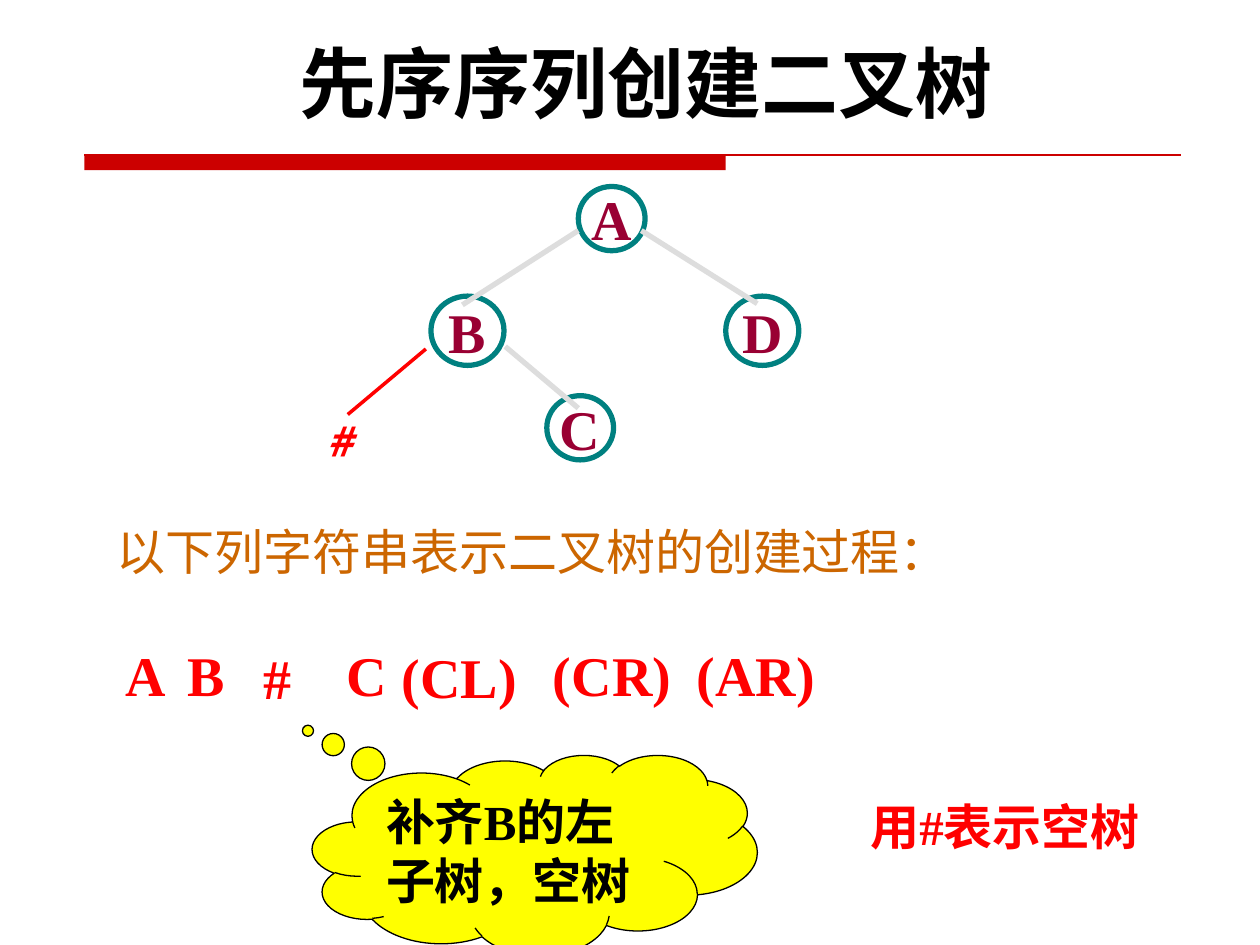
from dataclasses import dataclass

from lxml.etree import SubElement
from pptx import Presentation
from pptx.dml.color import RGBColor
from pptx.enum.shapes import MSO_CONNECTOR, MSO_SHAPE
from pptx.enum.text import MSO_ANCHOR, MSO_AUTO_SIZE, PP_ALIGN
from pptx.oxml.ns import qn
from pptx.util import Emu, Inches, Pt

BLACK = RGBColor(0x00, 0x00, 0x00)
WHITE = RGBColor(0xFF, 0xFF, 0xFF)
RED = RGBColor(0xFF, 0x00, 0x00)
RULE_RED = RGBColor(0xCC, 0x00, 0x00)
WINE = RGBColor(0x99, 0x00, 0x33)
TEAL = RGBColor(0x00, 0x80, 0x80)
GREY = RGBColor(0xDD, 0xDD, 0xDD)
ORANGE = RGBColor(0xCC, 0x66, 0x00)
YELLOW = RGBColor(0xFF, 0xFF, 0x00)

SERIF = "Times New Roman"
SANS = "Cabin"
HAN = "Noto Sans CJK SC"

COLUMNS, ROWS = 100, 75
SEQUENCE_ROW = 49.3
SMALL_NODE = (5.3, 5.1)
LARGE_NODE = (5.8, 5.5)

deck = Presentation()
deck.slide_width, deck.slide_height = Inches(10), Inches(7.5)
slide = deck.slides.add_slide(deck.slide_layouts[6])


@dataclass(frozen=True)
class Box:
    column: float
    row: float
    columns: float
    rows: float

    def place(self) -> tuple:
        return (across(self.column), down(self.row),
                across(self.columns), down(self.rows))


@dataclass(frozen=True)
class TreeNode:
    letter: str
    column: float
    row: float
    size: tuple


@dataclass(frozen=True)
class Edge:
    start: tuple
    end: tuple
    color: RGBColor = GREY
    weight: float = 3


@dataclass(frozen=True)
class Token:
    text: str
    column: float
    columns: float
    row: float = SEQUENCE_ROW


def across(columns: float) -> Emu:
    return Emu(round(deck.slide_width * columns / COLUMNS))


def down(rows: float) -> Emu:
    return Emu(round(deck.slide_height * rows / ROWS))


def write(holder, text: str, *, size: float, color: RGBColor, font: str = SERIF,
          bold: bool = True, align=PP_ALIGN.LEFT, anchor=MSO_ANCHOR.TOP,
          spacing: float = 1.0, wrap: bool = True, grow: bool = True) -> None:
    frame = holder.text_frame
    frame.word_wrap = wrap
    frame.vertical_anchor = anchor
    frame.auto_size = MSO_AUTO_SIZE.SHAPE_TO_FIT_TEXT if grow else MSO_AUTO_SIZE.NONE
    paragraph = frame.paragraphs[0]
    paragraph.alignment = align
    paragraph.line_spacing = spacing
    run = paragraph.add_run()
    run.text = text
    run.font.name = font
    run.font.size = Pt(size)
    run.font.bold = bold
    run.font.color.rgb = color
    SubElement(run.font._element, qn("a:ea"), typeface=HAN)


def draw_text(box: Box, text: str, **style) -> None:
    write(slide.shapes.add_textbox(*box.place()), text, **style)


def draw_shape(kind: MSO_SHAPE, box: Box, fill: RGBColor,
               outline: RGBColor | None = None, weight: float = 0.75):
    shape = slide.shapes.add_shape(kind, *box.place())
    shape.shadow.inherit = False
    shape.fill.solid()
    shape.fill.fore_color.rgb = fill
    if outline is None:
        shape.line.fill.background()
    else:
        shape.line.color.rgb = outline
        shape.line.width = Pt(weight)
    return shape


def draw_edge(edge: Edge) -> None:
    (x1, y1), (x2, y2) = edge.start, edge.end
    line = slide.shapes.add_connector(
        MSO_CONNECTOR.STRAIGHT, across(x1), down(y1), across(x2), down(y2))
    line.line.color.rgb = edge.color
    line.line.width = Pt(edge.weight)
    SubElement(line._element.spPr, qn("a:effectLst"))


def draw_node(node: TreeNode) -> None:
    circle = draw_shape(MSO_SHAPE.OVAL, Box(node.column, node.row, *node.size),
                        WHITE, TEAL, 3)
    write(circle, node.letter, size=32, color=WINE, align=PP_ALIGN.CENTER,
          anchor=MSO_ANCHOR.MIDDLE, wrap=False, grow=False)


NODES = [
    TreeNode("A", 45.9, 14.8, SMALL_NODE),
    TreeNode("B", 34.2, 23.5, LARGE_NODE),
    TreeNode("C", 43.4, 31.4, SMALL_NODE),
    TreeNode("D", 57.6, 23.5, LARGE_NODE),
]
EDGES = [
    Edge((45.9, 18.3), (36.7, 24.2)),
    Edge((50.9, 18.3), (60.1, 24.1)),
    Edge((40.1, 27.5), (45.9, 32.4)),
    Edge((33.8, 27.7), (27.6, 32.9), RED, 2),
]
SEQUENCE = [
    Token("A", 9.0, 5.2),
    Token("B", 13.9, 5.2),
    Token("#", 19.9, 4.9, SEQUENCE_ROW + 0.2),
    Token("C", 26.5, 4.9),
    Token("(CL)", 30.9, 12.0, SEQUENCE_ROW + 0.1),
    Token("(CR)", 42.9, 14.2),
    Token("(AR)", 54.3, 11.4),
]


def main() -> None:
    draw_shape(MSO_SHAPE.RECTANGLE, Box(6.7, 12.3, 50.9, 1.2), RULE_RED)
    draw_edge(Edge((6.7, 12.3), (93.7, 12.3), RULE_RED, 0.75))
    draw_text(Box(6, 2.3, 90.6, 8.4), "先序序列创建二叉树", size=44,
              color=BLACK, font=SANS, align=PP_ALIGN.CENTER)

    for node in NODES:
        draw_node(node)
    for edge in EDGES:
        draw_edge(edge)
    draw_text(Box(25.2, 32.4, 6.3, 5.1), "#", size=24, color=RED, font=SANS)

    draw_text(Box(8.3, 40, 85.8, 5.9), "以下列字符串表示二叉树的创建过程：",
              size=28, color=ORANGE, font=HAN, bold=False, spacing=1.2)
    for token in SEQUENCE:
        draw_text(Box(token.column, token.row, token.columns, 6.9), token.text,
                  size=32, color=RED, spacing=1.2)

    cloud = draw_shape(MSO_SHAPE.CLOUD_CALLOUT, Box(24.8, 59.9, 35.3, 15.9),
                       YELLOW, BLACK)
    cloud.adjustments[0], cloud.adjustments[1] = -0.51, -0.62
    write(cloud, "补齐B的左子树，空树", size=28, color=BLACK)
    draw_text(Box(68.1, 62.7, 24.4, 5.7), "用#表示空树", size=28, color=RED)

    deck.save("out.pptx")


if __name__ == "__main__":
    main()
